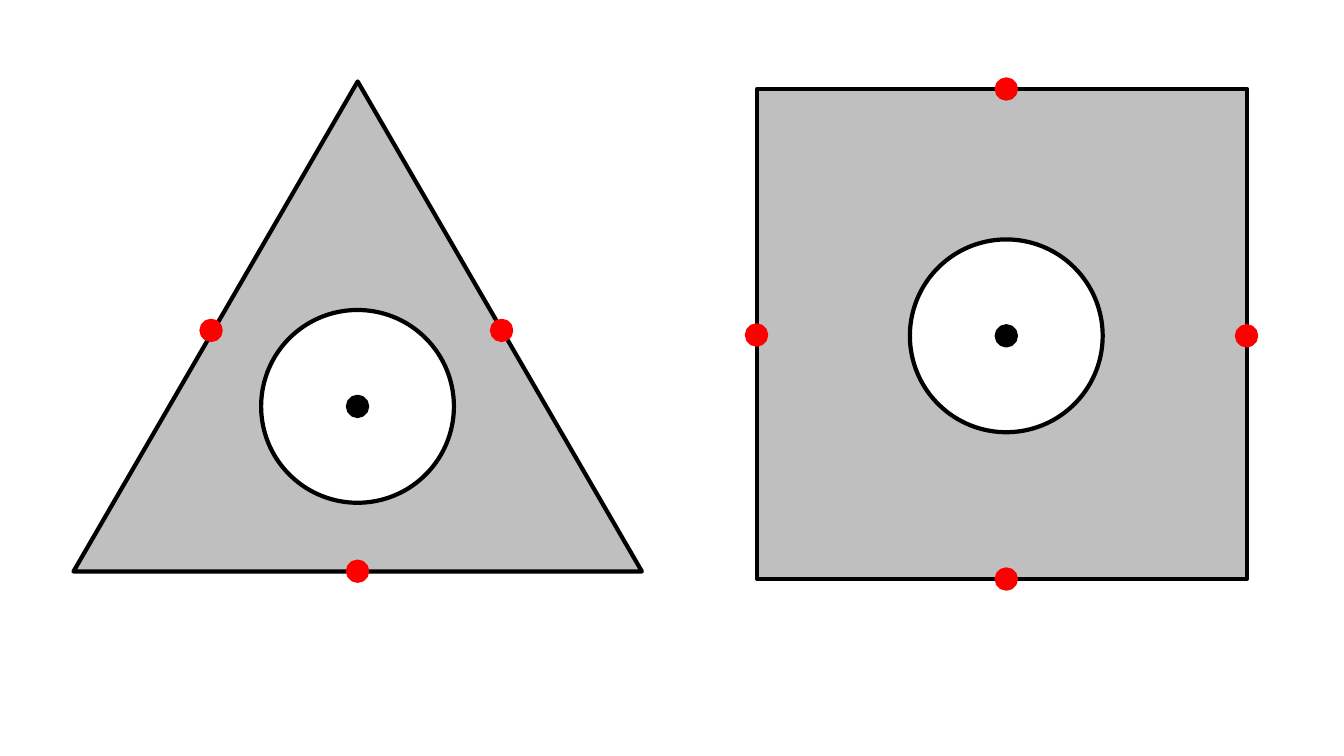
"""Build a slide with a holed triangle and a holed square, their edge points marked."""
import pptx
import pptx.dml.color
import pptx.enum.shapes
import pptx.util

Pt = pptx.util.Pt
RGBColor = pptx.dml.color.RGBColor
MSO_SHAPE = pptx.enum.shapes.MSO_SHAPE

BLACK = RGBColor(0x00, 0x00, 0x00)
WHITE = RGBColor(0xFF, 0xFF, 0xFF)
GREY = RGBColor(0xBF, 0xBF, 0xBF)
RED = RGBColor(0xFF, 0x00, 0x00)

HOLE_SIZE = 137.7
DOT_SIZE = 13.7
SIDE = 350

TRIANGLE_CENTER = (255.4, 290.3)
TRIANGLE_MARKS = [(358.3, 236), (255.4, 408), (150.8, 236)]
SQUARE_CENTER = (718.8, 239.9)
SQUARE_MARKS = [(540.4, 239.3), (890.4, 239.9), (718.8, 413.6), (718.8, 63.6)]


def add_figure(s, kind, left, top, width, height, fill, line=BLACK):
    """Add a filled preset shape with a 3 pt outline."""
    sp = s.shapes.add_shape(kind, Pt(left), Pt(top), Pt(width), Pt(height))
    sp.shadow.inherit = False
    sp.fill.solid()
    sp.fill.fore_color.rgb = fill
    sp.line.color.rgb = line
    sp.line.width = Pt(3)


def add_circle(s, center, size, fill, line):
    """Add a circle around a center point."""
    x, y = center
    add_figure(s, MSO_SHAPE.OVAL, x - size / 2, y - size / 2, size, size, fill, line)


def add_hole(s, center):
    """Add a white hole with a black dot at its center."""
    add_circle(s, center, HOLE_SIZE, WHITE, BLACK)
    add_circle(s, center, DOT_SIZE, BLACK, BLACK)


def main():
    """Draw both figures and save the presentation."""
    prs = pptx.Presentation()
    prs.slide_width, prs.slide_height = Pt(960), Pt(540)
    s = prs.slides.add_slide(prs.slide_layouts[6])
    add_figure(s, MSO_SHAPE.ISOSCELES_TRIANGLE, 52.5, 58.2, 406, SIDE, GREY)
    add_hole(s, TRIANGLE_CENTER)
    add_figure(s, MSO_SHAPE.RECTANGLE, 540.7, 63.5, SIDE, SIDE, GREY)
    add_hole(s, SQUARE_CENTER)
    for mark in TRIANGLE_MARKS + SQUARE_MARKS:
        add_circle(s, mark, DOT_SIZE, RED, RED)
    prs.save("out.pptx")


if __name__ == "__main__":
    main()
